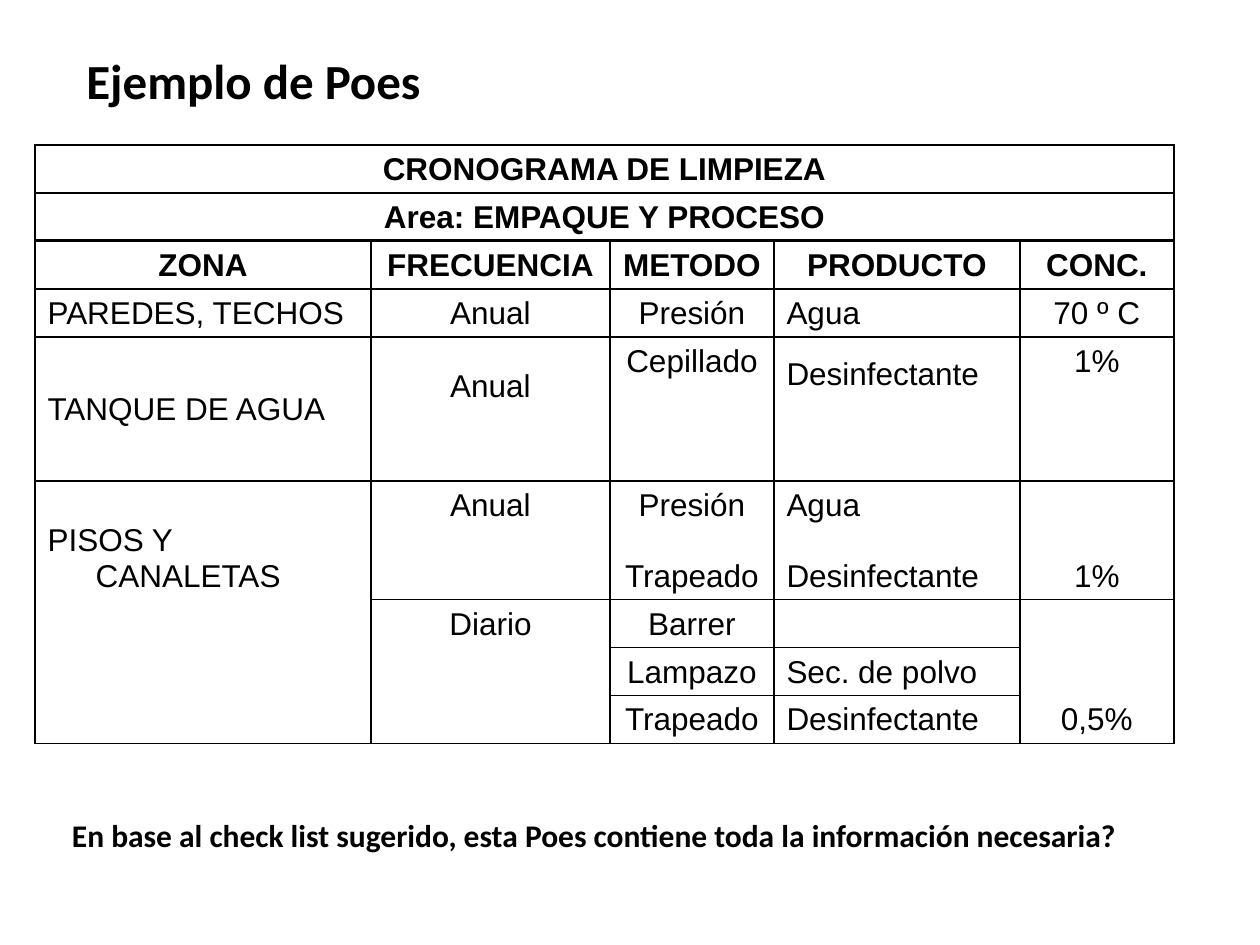
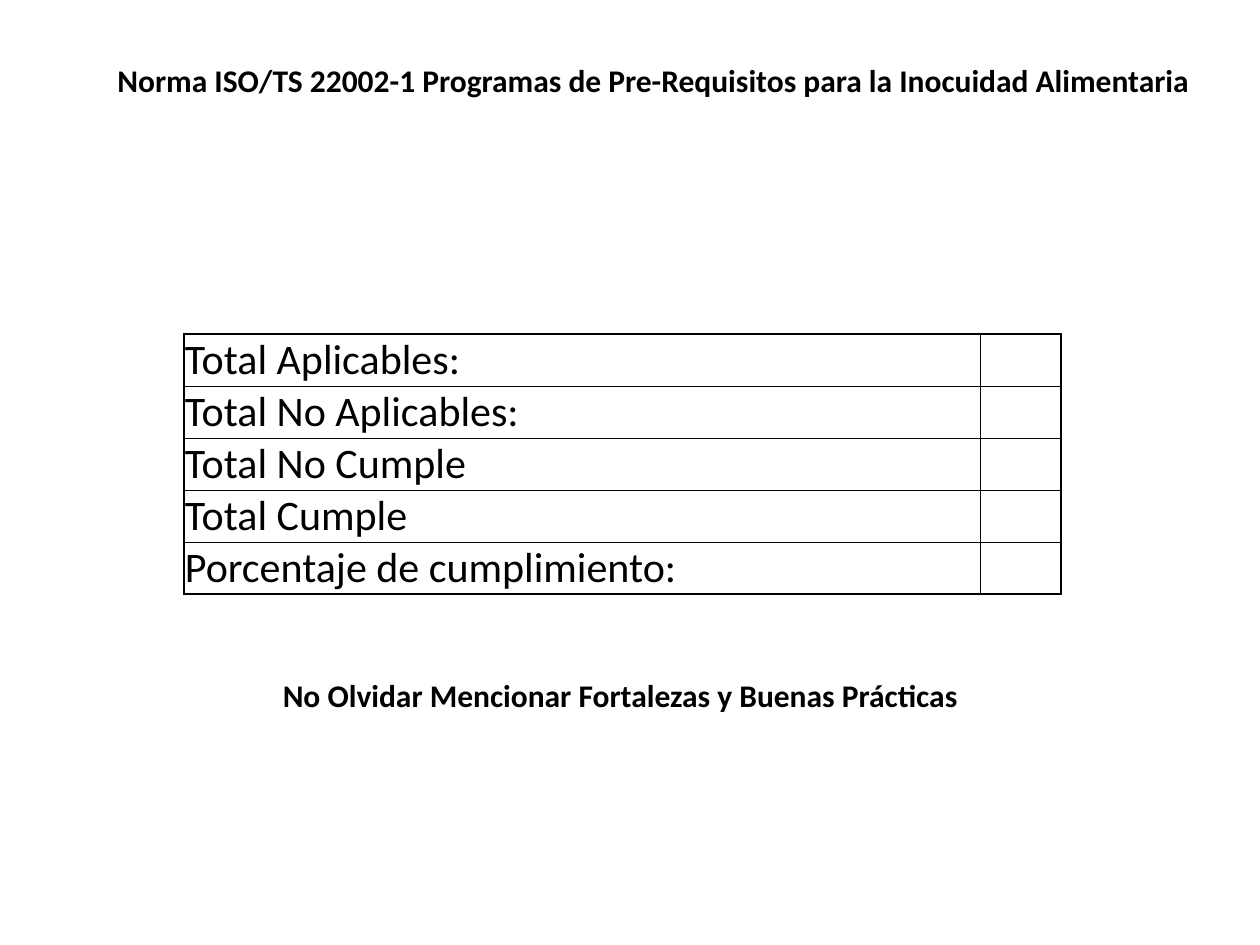
from pptx import Presentation
from pptx.dml.color import RGBColor
from pptx.enum.text import MSO_ANCHOR as Anchor, PP_ALIGN as Align
from pptx.oxml.xmlchemy import OxmlElement as Element
from pptx.util import Pt

PX = 7257
INK = "000000"
NO_STYLE = "{2D5ABB26-0587-4C30-8999-92F81FD0307C}"
HANGING = 48


def write(frame, text, size=18, font="Calibri", bold=False, align=Align.LEFT,
          hanging=0, gap=0, line_spacing=None):
    for index, line in enumerate(text.split("\n")):
        para = frame.add_paragraph() if index else frame.paragraphs[0]
        para.alignment = align
        if line_spacing:
            para.line_spacing = line_spacing
        if index and gap:
            para.space_before = Pt(gap)
        if hanging:
            properties = para._p.get_or_add_pPr()
            properties.set("marL", str(hanging * PX))
            properties.set("indent", str(-hanging * PX))
        if line:
            span = para.add_run()
            span.text = line
            span.font.size = Pt(size)
            span.font.name = font
            span.font.bold = bold
            span.font.color.rgb = RGBColor.from_string(INK)
        else:
            end = Element("a:endParaRPr")
            end.set("sz", str(size * 100))
            latin = Element("a:latin")
            latin.set("typeface", font)
            end.append(latin)
            para._p.append(end)


def outline(cell, **widths):
    properties = cell._tc.get_or_add_tcPr()
    for side in "LRTB":
        width = widths.get(side, 0)
        line = Element(f"a:ln{side}")
        line.set("w", str(int(width * 12700)))
        fill = Element("a:solidFill" if width else "a:noFill")
        if width:
            color = Element("a:srgbClr")
            color.set("val", str(RGBColor.from_string(INK)))
            fill.append(color)
        line.append(fill)
        properties.append(line)
    cell.fill.background()


deck = Presentation()
deck.slide_width = 1260 * PX
deck.slide_height = 945 * PX
example_page, totals_page = [deck.slides.add_slide(deck.slide_layouts[6]) for _ in range(2)]

tables = []
for page, left, top, widths, heights in [
    (example_page, 35, 145, [336, 239, 164, 246, 154], [48] * 8 + [71] + [48] * 3),
    (totals_page, 184, 334, [796, 81], [52] * 5),
]:
    table = page.shapes.add_table(len(heights), len(widths), left * PX, top * PX,
                                  sum(widths) * PX, sum(heights) * PX).table
    table.first_row = table.horz_banding = False
    table._tbl.tblPr[0].text = NO_STYLE
    for column, width in zip(table.columns, widths):
        column.width = width * PX
    for row, height in zip(table.rows, heights):
        row.height = height * PX
    tables.append(table)
schedule, totals = tables

schedule_rows = [
    ["CRONOGRAMA DE LIMPIEZA", "", "", "", ""],
    ["Area: EMPAQUE Y PROCESO", "", "", "", ""],
    ["ZONA", "FRECUENCIA", "METODO", "PRODUCTO", "CONC."],
    ["PAREDES, TECHOS", "Anual", "Presión", "Agua", "70 º C"],
    ["", "Anual", "Cepillado", "Desinfectante", "1%"],
    ["TANQUE DE AGUA", "", "", "", ""],
    ["", "", "", "", ""],
    ["PISOS Y CANALETAS", "Anual", "Presión", "Agua\nDesinfectante", ""],
    ["", "", "Trapeado", "", "1%"],
    ["", "Diario", "Barrer", "", ""],
    ["", "", "Lampazo", "Sec. de polvo", ""],
    ["", "", "Trapeado", "Desinfectante", "0,5%"],
]
for first, last in [((0, 0), (0, 4)), ((1, 0), (1, 4)), ((4, 1), (6, 1)), ((4, 3), (5, 3)),
                    ((7, 0), (8, 0)), ((7, 3), (8, 3)), ((10, 0), (11, 0))]:
    schedule.cell(*first).merge(schedule.cell(*last))

open_blocks = [(4, 6, range(5)), (7, 11, [0]), (7, 8, range(1, 5)), (9, 11, [1, 4])]
raised_cells = {(4, 1): 77, (4, 3): 41}
for r, texts in enumerate(schedule_rows):
    for c, text in enumerate(texts):
        cell = schedule.cell(r, c)
        is_left = r > 2 and c in (0, 3)
        write(cell.text_frame, text, font="Arial", bold=r < 3, gap=20,
              align=Align.LEFT if is_left else Align.CENTER,
              hanging=HANGING if is_left else 0)
        cell.vertical_anchor = Anchor.BOTTOM
        cell.margin_bottom = raised_cells.get((r, c), 6) * PX
        if cell.is_spanned:
            continue
        bottom = r + cell.span_height - 1 if cell.is_merge_origin else r
        start, end = next(((start, end) for start, end, columns in open_blocks
                           if start <= r <= end and c in columns), (r, bottom))
        outline(cell, L=1, R=1,
                T=0 if r > start else 2 if r == 2 else 1,
                B=0 if bottom < end else 2 if r == 1 else 1)

total_labels = ["Total Aplicables:", "Total No Aplicables:", "Total No Cumple",
                "Total Cumple", "Porcentaje de cumplimiento:"]
for r, label in enumerate(total_labels):
    label_cell, value_cell = totals.cell(r, 0), totals.cell(r, 1)
    write(label_cell.text_frame, label, size=24)
    write(value_cell.text_frame, "")
    label_cell.vertical_anchor = Anchor.BOTTOM
    label_cell.margin_left = label_cell.margin_right = label_cell.margin_top = PX
    label_cell.margin_bottom = 0
    top_width = 0.5 if r else 1
    bottom_width = 1 if r == len(total_labels) - 1 else 0.5
    outline(label_cell, L=1, R=0.5, T=top_width, B=bottom_width)
    outline(value_cell, L=0.5, R=1, T=top_width, B=bottom_width)

for page, left, top, width, height, text, look in [
    (example_page, 74, 26, 1086, 115, "Ejemplo de Poes", {"size": 28, "line_spacing": 0.9}),
    (example_page, 44, 810, 1101, 50,
     "En base al check list sugerido, esta Poes contiene toda la información necesaria?",
     {"align": Align.CENTER}),
    (totals_page, 105, 55, 1101, 50,
     "Norma ISO/TS 22002-1 Programas de Pre-Requisitos para la Inocuidad Alimentaria", {}),
    (totals_page, 184, 670, 873, 50, "No Olvidar Mencionar Fortalezas y Buenas Prácticas",
     {"align": Align.CENTER}),
]:
    box = page.shapes.add_textbox(left * PX, top * PX, width * PX, height * PX)
    box.text_frame.word_wrap = True
    box.text_frame.vertical_anchor = Anchor.MIDDLE
    write(box.text_frame, text, bold=True, **look)

deck.save("out.pptx")
